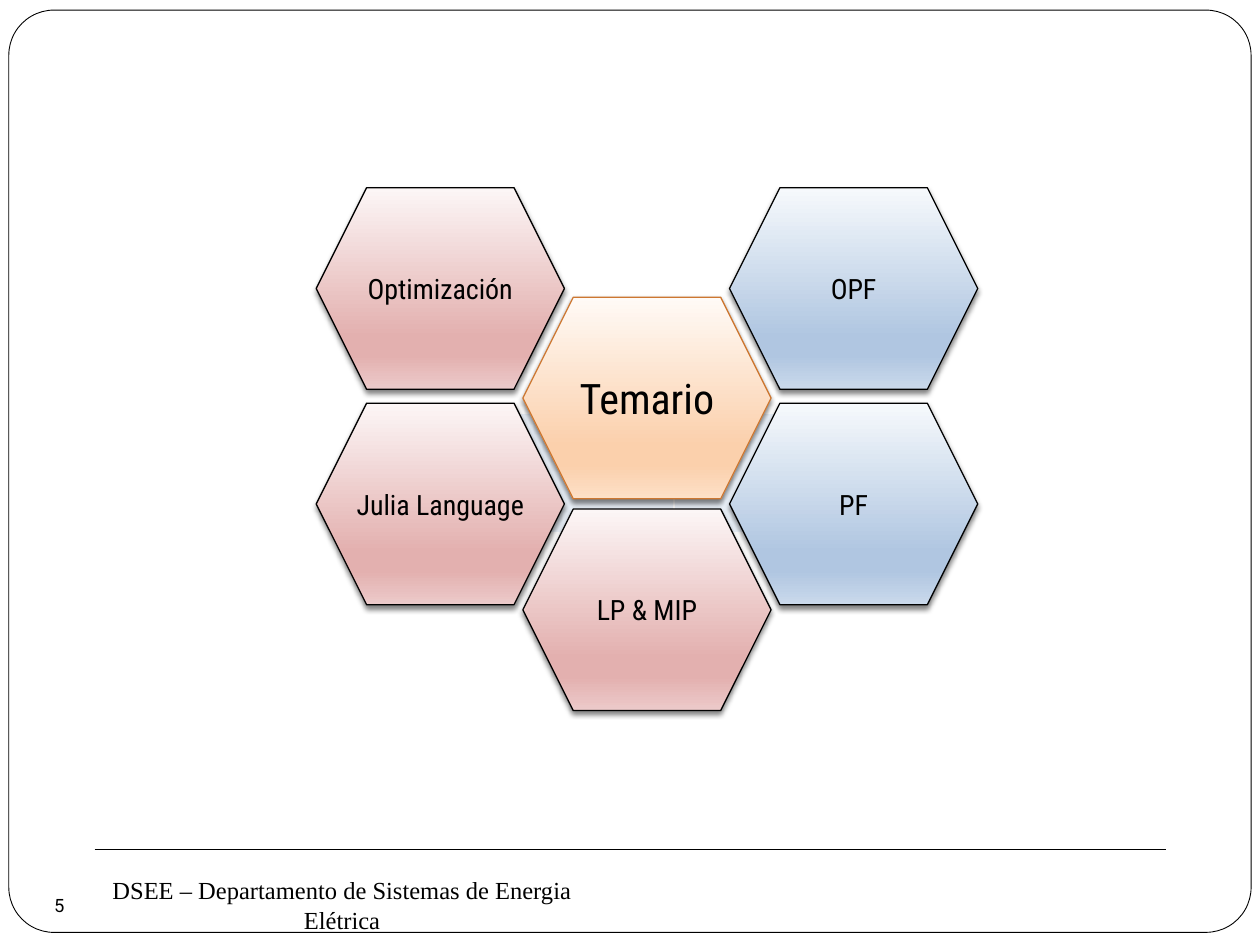
from lxml import etree
from pptx import Presentation
from pptx.dml.color import RGBColor
from pptx.enum.shapes import MSO_CONNECTOR, MSO_SHAPE
from pptx.enum.text import MSO_ANCHOR, PP_ALIGN
from pptx.oxml.ns import qn
from pptx.util import Inches, Pt

HEXAGON, RECT, OVAL = MSO_SHAPE.HEXAGON, MSO_SHAPE.RECTANGLE, MSO_SHAPE.OVAL
ROUNDED = MSO_SHAPE.ROUNDED_RECTANGLE
MIDDLE, CENTER = MSO_ANCHOR.MIDDLE, PP_ALIGN.CENTER

COLORS = {"black": "000000", "white": "FFFFFF", "orange": "CD7731", "band": "8EB4E3"}
GRADIENTS = {
    "red": ("FCF6F6", "E3B0AF", "E3B0AF", "ECCACA"),
    "orange": ("FFFAF6", "FBD0AC", "FBD0AC", "FDE0C7"),
    "blue": ("F6F9FC", "B0C6E1", "B0C6E1", "CAD9EB"),
}
STOPS = (0, 74, 83, 100)


def add_outlined(kind, left, top, width, height, line, weight):
    shape = slide.shapes.add_shape(
        kind, Inches(left), Inches(top), Inches(width), Inches(height))
    shape.shadow.inherit = False
    shape.fill.solid()
    shape.fill.fore_color.rgb = RGBColor.from_string(COLORS["white"])
    shape.line.color.rgb = RGBColor.from_string(COLORS[line])
    shape.line.width = Pt(weight)
    return shape


def write(shape, text, font, size, inset=0, wrap=True):
    frame = shape.text_frame
    frame.word_wrap = wrap
    frame.vertical_anchor = MIDDLE
    frame.margin_left = frame.margin_right = Inches(inset)
    frame.margin_top = frame.margin_bottom = 0
    paragraph = frame.paragraphs[0]
    paragraph.text = text
    paragraph.alignment = CENTER
    paragraph.font.name = font
    paragraph.font.size = Pt(size)
    paragraph.font.color.rgb = RGBColor.from_string(COLORS["black"])


prs = Presentation()
prs.slide_width, prs.slide_height = Inches(10), Inches(7.5)
slide = prs.slides.add_slide(prs.slide_layouts[6])

# Page frame, rule and footer
frame = add_outlined(ROUNDED, 0.07, 0.08, 9.86, 7.32, "black", 0.5)
frame.adjustments[0] = 0.049

rule = slide.shapes.add_connector(
    MSO_CONNECTOR.STRAIGHT, Inches(0.75), Inches(6.74), Inches(9.25), Inches(6.74))
rule.line.color.rgb = RGBColor.from_string(COLORS["black"])
rule.line.width = Pt(0.75)
etree.SubElement(rule._element.spPr, qn("a:effectLst"))

footer = slide.shapes.add_textbox(Inches(0.67), Inches(6.99), Inches(4.09), Inches(0.38))
write(footer, "DSEE – Departamento de Sistemas de Energia Elétrica",
      "Times New Roman", 14, inset=0.1)

# Translucent bands behind the hexagons
for left, width in ((3.79, 1.56), (5.35, 1.61)):
    band = add_outlined(RECT, left, 3.28, width, 0.95, "white", 1)
    band.fill.fore_color.rgb = RGBColor.from_string(COLORS["band"])
    tint = band._element.spPr.find(qn("a:solidFill")).find(qn("a:srgbClr"))
    etree.SubElement(tint, qn("a:alpha"), val="17000")

# Honeycomb of topics: text, column, top, palette, line, size
COLUMN_LEFT, COLUMN_STEP = 2.51, 1.64
topics = [
    ("Optimización", 0, 1.49, "red", "black", 16),
    ("Temario", 1, 2.36, "orange", "orange", 24),
    ("Julia Language", 0, 3.2, "red", "black", 16),
    ("OPF", 2, 1.49, "blue", "black", 16),
    ("LP & MIP", 1, 4.04, "red", "black", 16),
    ("PF", 2, 3.2, "blue", "black", 16),
]
for text, column, top, palette, line, size in topics:
    topic = add_outlined(HEXAGON, COLUMN_LEFT + column * COLUMN_STEP, top,
                         1.97, 1.6, line, 0.75)
    write(topic, text, "Roboto Condensed", size)

    topic.fill.gradient()
    topic.fill.gradient_angle = 270  # counter-clockwise, so top to bottom
    stops = topic._element.spPr.find(qn("a:gradFill")).find(qn("a:gsLst"))
    for stop in list(stops):
        stops.remove(stop)
    for position, color in zip(STOPS, GRADIENTS[palette]):
        stop = etree.SubElement(stops, qn("a:gs"), pos=str(position * 1000))
        etree.SubElement(stop, qn("a:srgbClr"), val=color)

    effects = topic._element.spPr.find(qn("a:effectLst"))
    shadow = etree.SubElement(
        effects, qn("a:outerShdw"), blurRad=str(Pt(3)), dist=str(Pt(2)),
        dir="5400000", rotWithShape="0")
    shade = etree.SubElement(shadow, qn("a:srgbClr"), val=COLORS["black"])
    etree.SubElement(shade, qn("a:alpha"), val="50000")

# Page number
number = add_outlined(OVAL, 0.28, 6.99, 0.38, 0.38, "black", 0.5)
number.fill.background()
number.line.fill.background()
write(number, "5", "Roboto", 10.5, wrap=False)

prs.save("out.pptx")
